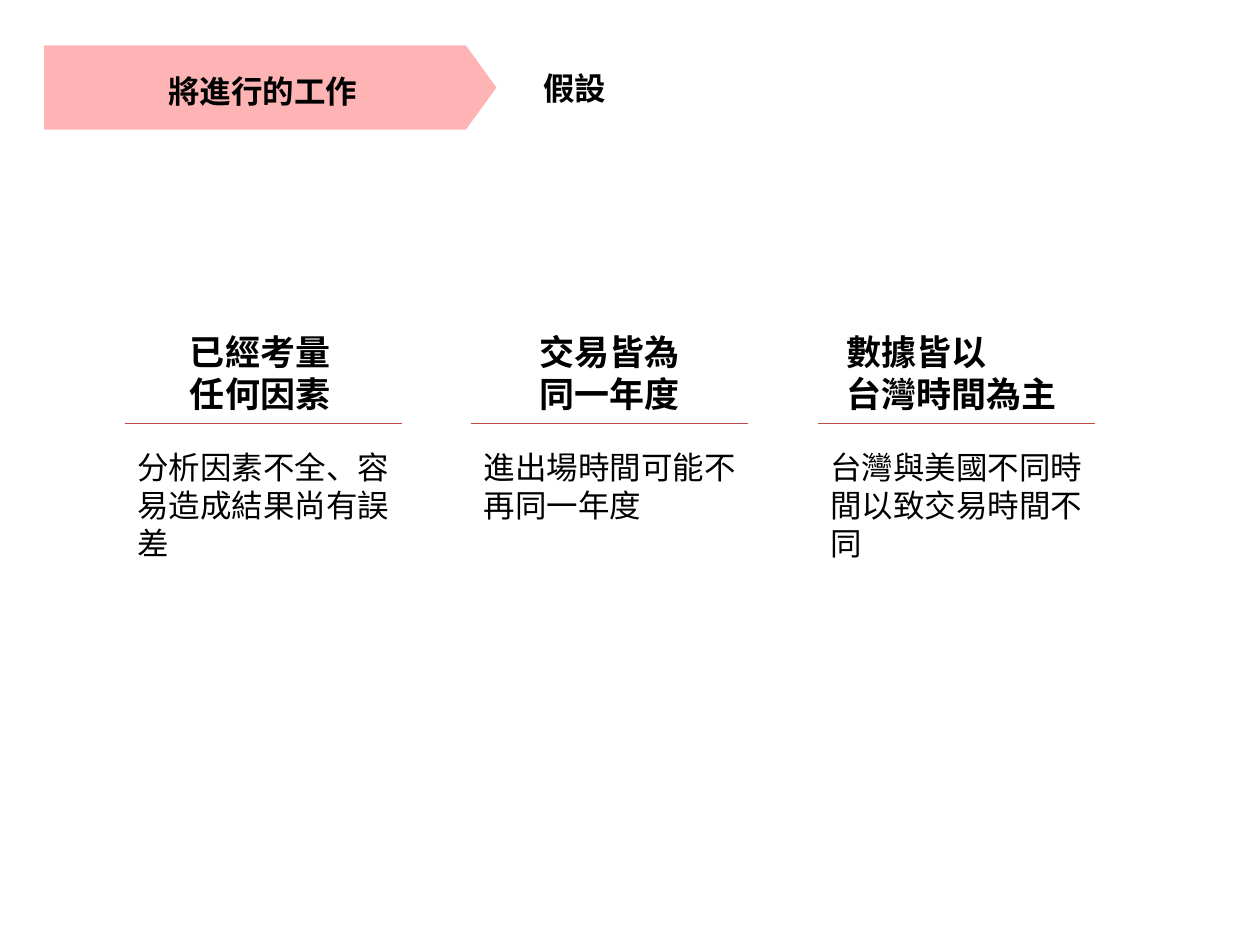
from dataclasses import dataclass

from lxml.etree import SubElement
from pptx import Presentation
from pptx.dml.color import RGBColor
from pptx.enum.shapes import MSO_CONNECTOR, MSO_SHAPE
from pptx.enum.text import MSO_ANCHOR, MSO_AUTO_SIZE, PP_ALIGN
from pptx.oxml.ns import qn
from pptx.util import Inches, Pt


@dataclass(frozen=True)
class Theme:
    """Hold the colours, font and type sizes of the slide."""
    font: str = "Noto Sans CJK SC"
    ink: RGBColor = RGBColor(0, 0, 0)
    band: RGBColor = RGBColor(0xFE, 0xB4, 0xB4)
    rule: RGBColor = RGBColor(0xBF, 0x4C, 0x48)
    body: int = 18
    head: int = 20


THEME = Theme()
WIDE, HIGH = 10, 7.5
TITLE = "假設"
BANNER = "將進行的工作"
CARDS = [
    (("已經考量", "任何因素"), 0.42, 1.36, "分析因素不全、容易造成結果尚有誤差"),
    (("交易皆為", "同一年度"), 0.44, 1.32, "進出場時間可能不再同一年度"),
    (("數據皆以", "台灣時間為主"), 0.13, 1.88, "台灣與美國不同時間以致交易時間不同"),
]
LEFT, STEP, SPAN = 0.099 * WIDE, 0.275 * WIDE, 0.22 * WIDE
HEAD, RULE, NOTE = 2.57, 0.448 * HIGH, 0.468 * HIGH


def place(shape, left, top, width, height):
    """Move and size a shape, in inches."""
    shape.left, shape.top = Inches(left), Inches(top)
    shape.width, shape.height = Inches(width), Inches(height)


def write(shape, *lines, size=THEME.body, bold=False, wrap=True,
          align=PP_ALIGN.LEFT, anchor=MSO_ANCHOR.TOP, pitch=None):
    """Fill a shape with one paragraph per line."""
    frame = shape.text_frame
    frame.text = "\n".join(lines)
    frame.word_wrap = wrap
    frame.auto_size = MSO_AUTO_SIZE.NONE
    frame.vertical_anchor = anchor
    for para in frame.paragraphs:
        para.alignment = align
        para.line_spacing = pitch
        font = para.runs[0].font
        font.name, font.size, font.bold = THEME.font, Pt(size), bold
        font.color.rgb = THEME.ink
        SubElement(font._element, qn("a:ea"), typeface=THEME.font)


def text(slide, box, *lines, **style):
    """Add a text box."""
    write(slide.shapes.add_textbox(*map(Inches, box)), *lines, **style)


def banner(slide):
    """Draw the pointed band that names the section."""
    band = slide.shapes.add_shape(
        MSO_SHAPE.PENTAGON, *map(Inches, (0.35, 0.36, 3.59, 0.67)))
    band.adjustments[0] = 0.363
    band.shadow.inherit = False
    band.fill.solid()
    band.fill.fore_color.rgb = THEME.band
    band.line.fill.background()
    write(band, BANNER, bold=True, align=PP_ALIGN.CENTER,
          anchor=MSO_ANCHOR.MIDDLE, pitch=1.2)


def rule(slide, left):
    """Draw the thin line below a heading."""
    ends = map(Inches, (left, RULE, left + SPAN, RULE))
    line = slide.shapes.add_connector(MSO_CONNECTOR.STRAIGHT, *ends)
    line.line.color.rgb = THEME.rule
    line.line.width = Pt(0.75)
    SubElement(line._element.spPr, qn("a:effectLst"))


def main():
    """Build and save the slide."""
    deck = Presentation()
    deck.slide_width, deck.slide_height = Inches(WIDE), Inches(HIGH)
    slide = deck.slides.add_slide(deck.slide_layouts[5])
    title = slide.shapes.title
    place(title, 4.21, 0.5, 0.71, 0.4)
    write(title, TITLE, bold=True, wrap=False)
    banner(slide)
    for col, (head, inset, width, note) in enumerate(CARDS):
        left = LEFT + col * STEP
        text(slide, (left + inset, HEAD, width, 0.77), *head,
             size=THEME.head, bold=True, wrap=col == 0)
        rule(slide, left)
        text(slide, (left, NOTE, SPAN, 1.01), note)
    deck.save("out.pptx")


if __name__ == "__main__":
    main()
